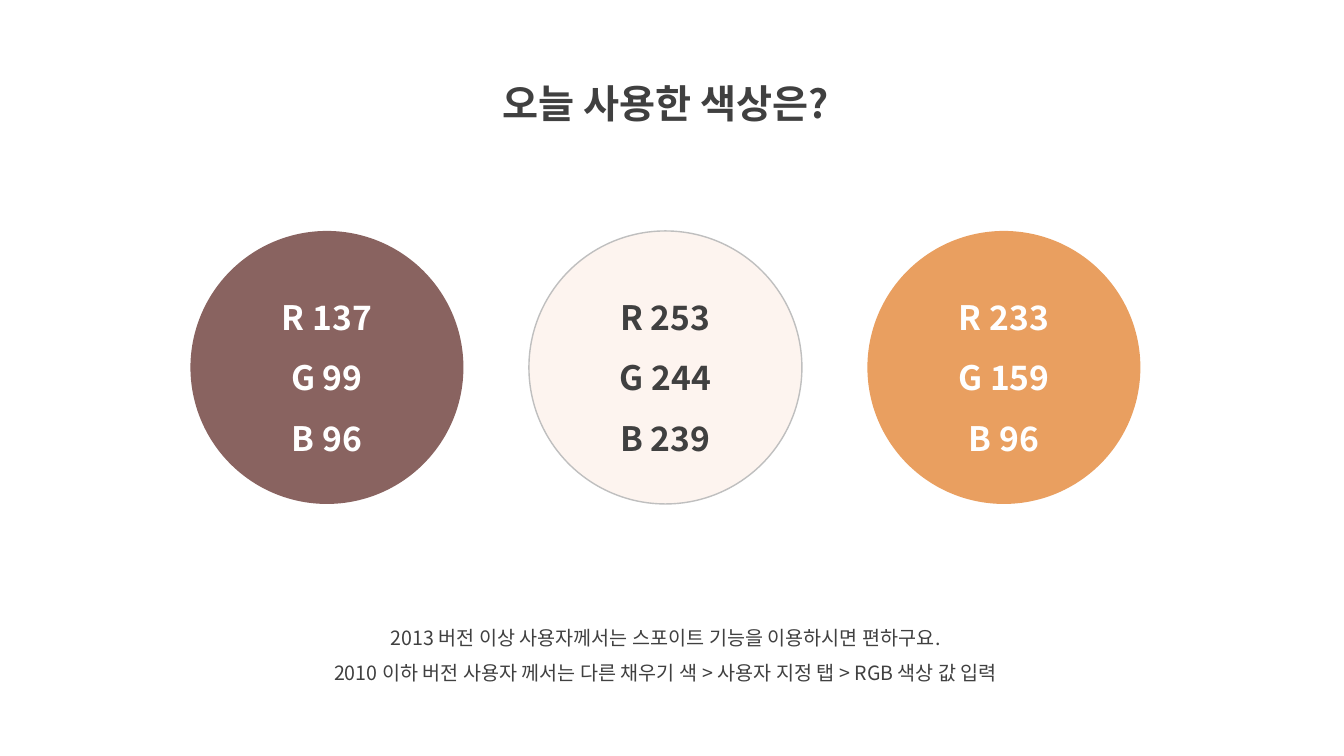
from dataclasses import dataclass

import pptx
import pptx.dml.color
import pptx.enum.shapes
import pptx.enum.text
import pptx.oxml
import pptx.oxml.ns
import pptx.util
from pptx.util import Cm


@dataclass(frozen=True)
class Theme:
    font: str = "Noto Sans CJK KR"
    dark: str = "404040"
    light: str = "FFFFFF"
    outline: str = "BFBFBF"
    brown: str = "896360"
    cream: str = "FDF4EF"
    orange: str = "E99F60"
    title_size: int = 28
    swatch_size: int = 24
    note_size: int = 14
    line_spacing: float = 1.5


THEME = Theme()


def rgb(color):
    return pptx.dml.color.RGBColor.from_string(color)


def format_text(frame, size, color, bold):
    frame.word_wrap = True
    for para in frame.paragraphs:
        para.alignment = pptx.enum.text.PP_ALIGN.CENTER
        para.line_spacing = THEME.line_spacing
        for span in para.runs:
            span.font.size = pptx.util.Pt(size)
            span.font.bold = bold
            span.font.color.rgb = rgb(color)
            span.font.name = THEME.font
            east_asian = pptx.oxml.parse_xml(
                f'<a:ea {pptx.oxml.ns.nsdecls("a")} typeface="{THEME.font}"/>'
            )
            span.font._element.append(east_asian)


def set_title(page, text):
    title = page.shapes.title
    title.left, title.top = Cm(10.9), Cm(1.27)
    title.width, title.height = Cm(11.76), Cm(1.83)
    frame = title.text_frame
    frame.text = text
    frame.vertical_anchor = pptx.enum.text.MSO_ANCHOR.TOP
    frame.auto_size = pptx.enum.text.MSO_AUTO_SIZE.SHAPE_TO_FIT_TEXT
    format_text(frame, THEME.title_size, THEME.dark, True)


def add_note(page, lines):
    box = page.shapes.add_textbox(Cm(6.63), Cm(15.34), Cm(20.29), Cm(2.06))
    box.text_frame.text = "\n".join(lines)
    box.text_frame.auto_size = pptx.enum.text.MSO_AUTO_SIZE.SHAPE_TO_FIT_TEXT
    format_text(box.text_frame, THEME.note_size, THEME.dark, False)


def add_swatch(page, left, fill, text_color, outline):
    circle = page.shapes.add_shape(
        pptx.enum.shapes.MSO_SHAPE.OVAL, left, Cm(5.82), Cm(6.88), Cm(6.88)
    )
    circle.shadow.inherit = False
    circle.fill.solid()
    circle.fill.fore_color.rgb = rgb(fill)
    if outline:
        circle.line.color.rgb = rgb(outline)
        circle.line.width = pptx.util.Pt(1)
    else:
        circle.line.fill.background()
    frame = circle.text_frame
    frame.text = "\n".join(
        f"{channel} {value}" for channel, value in zip("RGB", rgb(fill))
    )
    frame.vertical_anchor = pptx.enum.text.MSO_ANCHOR.MIDDLE
    format_text(frame, THEME.swatch_size, text_color, True)


def main():
    deck = pptx.Presentation()
    deck.slide_width, deck.slide_height = Cm(33.87), Cm(19.05)
    page = deck.slides.add_slide(deck.slide_layouts.get_by_name("Title Only"))
    set_title(page, "오늘 사용한 색상은?")
    swatches = (
        (THEME.brown, THEME.light, None),
        (THEME.cream, THEME.dark, THEME.outline),
        (THEME.orange, THEME.light, None),
    )
    for index, swatch in enumerate(swatches):
        add_swatch(page, Cm(4.8 + 8.53 * index), *swatch)
    add_note(page, (
        "2013 버전 이상 사용자께서는 스포이트 기능을 이용하시면 편하구요.",
        "2010 이하 버전 사용자 께서는 다른 채우기 색 > 사용자 지정 탭 > RGB 색상 값 입력",
    ))
    deck.save("out.pptx")


if __name__ == "__main__":
    main()
